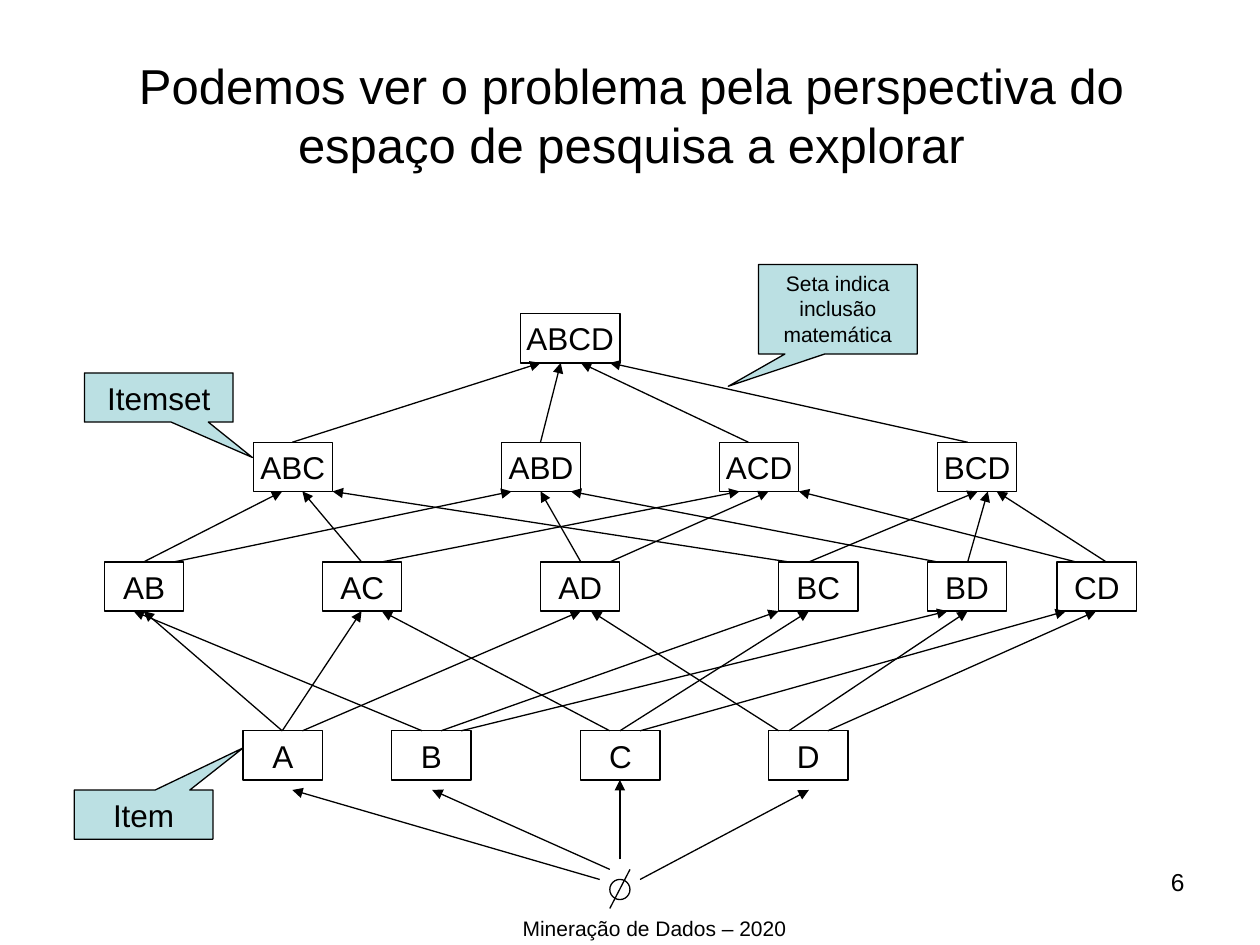
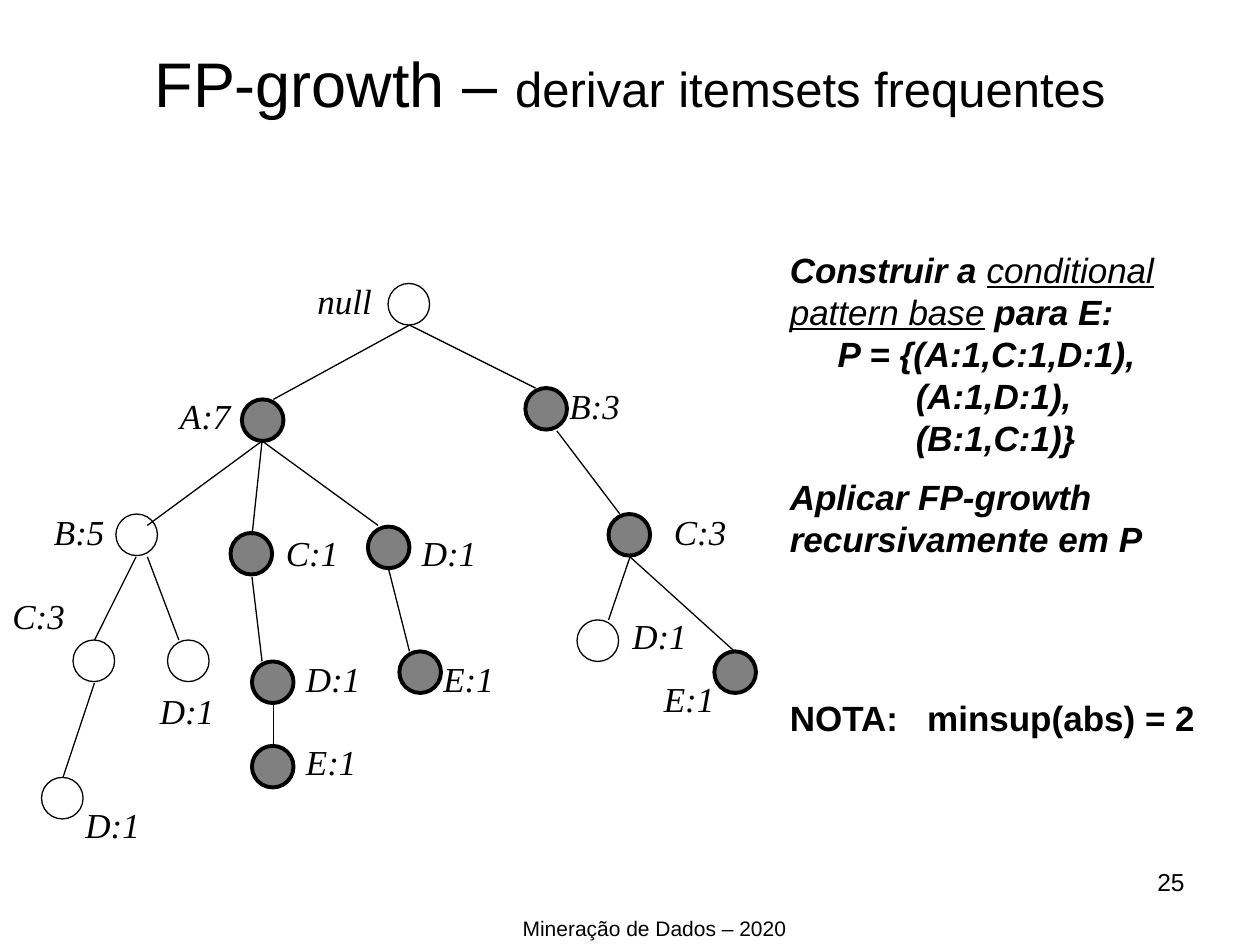
from lxml import etree
from pptx import Presentation
from pptx.dml.color import RGBColor
from pptx.enum.shapes import MSO_CONNECTOR, MSO_SHAPE
from pptx.enum.text import MSO_ANCHOR, MSO_AUTO_SIZE, PP_ALIGN
from pptx.oxml.ns import qn
from pptx.util import Inches, Pt

STRAIGHT = MSO_CONNECTOR.STRAIGHT
RECTANGLE, OVAL = MSO_SHAPE.RECTANGLE, MSO_SHAPE.OVAL
CALLOUT = MSO_SHAPE.RECTANGULAR_CALLOUT
MIDDLE, TOP = MSO_ANCHOR.MIDDLE, MSO_ANCHOR.TOP
LEFT, CENTER, RIGHT = PP_ALIGN.LEFT, PP_ALIGN.CENTER, PP_ALIGN.RIGHT
NO_AUTOFIT = MSO_AUTO_SIZE.NONE

BLACK, WHITE, AQUA, GRAY = "000000", "FFFFFF", "BBE0E3", "808080"
SANS, SERIF = "Arial", "Times New Roman"
THIN, THICK = 0.75, 2.25
FOOTER = "Mineração de Dados – 2020"
TITLE_ONLY = 5

LATTICE_TITLE = [("Podemos ver o problema pela perspectiva do espaço de pesquisa a explorar", 28)]
BOX_WIDTH, BOX_HEIGHT = 0.63, 0.39
FULL_SET_WIDTH = 0.79
LEVELS = [
    (2.49, {"ABCD": 4.13}),
    (3.51, {"ABC": 2.01, "ABD": 3.98, "ACD": 5.71, "BCD": 7.44}),
    (4.46, {"AB": 0.83, "AC": 2.56, "AD": 4.29, "BC": 6.18, "BD": 7.36, "CD": 8.39}),
    (5.8, {"A": 1.93, "B": 3.11, "C": 4.61, "D": 6.1}),
]
INCLUSIONS = [
    [(2.32, 4.29), (4.29, 4.45), (5.94, 4.61), (7.68, 4.84)],
    [(1.14, 2.24), (1.38, 4.06), (2.87, 2.4), (3.03, 5.87), (4.61, 4.29), (4.84, 6.1),
     (6.26, 2.64), (6.42, 7.76), (7.44, 4.53), (7.68, 7.84), (8.54, 6.34), (8.78, 7.91)],
    [(2.24, 1.14), (2.24, 2.87), (2.4, 4.61), (3.35, 1.06), (3.5, 6.18), (3.66, 7.52),
     (4.84, 3.03), (4.92, 6.42), (5.08, 8.46), (6.18, 4.69), (6.26, 7.68), (6.57, 8.7)],
]
EMPTY_SET_ARROWS = [
    (4.76, 6.98, 2.32, 6.27), (4.84, 6.9, 3.43, 6.27),
    (4.92, 6.82, 4.92, 6.19), (5.08, 6.98, 6.42, 6.27),
]
EMPTY_SET_RING = (4.84, 6.98, 0.16, 0.16)
EMPTY_SET_SLASH = (4.84, 7.21, 5, 6.9)
CALLOUTS = [
    ("Seta indica inclusão matemática", 12, (6.02, 2.1, 1.26, 0.71), (-0.69, 0.86)),
    ("Itemset", 18, (0.67, 2.96, 1.18, 0.39), (0.63, 1.22)),
    ("Item", 18, (0.59, 6.27, 1.1, 0.39), (0.72, -1.36)),
]

TREE_TITLE = [("FP-growth – ", 36), ("derivar itemsets frequentes", 28)]
NODE_SIZE = 0.33
LABEL_SIZE = (0.67, 0.43)
PLAIN_NODES = [
    ("null", (3.08, 2.25), (2.42, 2.17)),
    ("B:5", (0.92, 4.08), (0.33, 4)),
    ("C:3", (0.58, 5.08), (0, 4.67)),
    ("D:1", (0.33, 6.17), (0.58, 6.33)),
    ("D:1", (1.33, 5.08), (1.17, 5.42)),
    ("D:1", (4.58, 4.92), (4.92, 4.83)),
]
MARKED_NODES = [
    ("A:7", (1.92, 3.17), (1.33, 3.08)),
    ("B:3", (4.17, 3.08), (4.42, 3)),
    ("C:3", (4.83, 4.08), (5.25, 4)),
    ("C:1", (1.83, 4.23), (2.17, 4.17)),
    ("D:1", (2, 5.25), (2.33, 5.17)),
    ("E:1", (2, 5.92), (2.33, 5.83)),
    ("D:1", (2.92, 4.18), (3.25, 4.17)),
    ("E:1", (3.17, 5.17), (3.42, 5.17)),
    ("E:1", (5.67, 5.17), (5.17, 5.33)),
]
BRANCHES = [
    (3.25, 2.58, 2.17, 3.17), (3.25, 2.58, 4.25, 3.08),
    (2.08, 3.5, 1.17, 4.17), (2.08, 3.5, 2, 4.25), (2.08, 3.5, 3, 4.17),
    (1.08, 4.42, 0.75, 5.08), (1.17, 4.42, 1.42, 5.08), (0.75, 5.42, 0.5, 6.17),
    (2, 4.58, 2.08, 5.25), (2.17, 5.58, 2.17, 5.92), (3.08, 4.5, 3.25, 5.17),
    (4.42, 3.42, 4.92, 4.08), (5, 4.42, 4.83, 4.92), (5, 4.42, 5.83, 5.17),
]
STEPS_AREA = (6.17, 1.92, 3.67, 4.46)
STEPS = [
    {"spans": ["Construir a ", "conditional pattern base", " para E:"], "underlined": 1},
    {"spans": ["P = {(A:1,C:1,D:1),"], "indent": 0.38},
    {"spans": ["(A:1,D:1),"], "indent": 1},
    {"spans": ["(B:1,C:1)}"], "indent": 1},
    {"spans": ["Aplicar FP-growth recursivamente em P"], "before": 10},
    {"spans": ["NOTA:\tminsup(abs) = 2"], "before": 78, "italic": False, "tab": 1.09},
]


def color(value):
    return RGBColor.from_string(value)


def place(area):
    return [Inches(length) for length in area]


def style(paragraph, size, name=SANS, align=LEFT, italic=None):
    paragraph.alignment = align
    font = paragraph.font
    font.name, font.size, font.italic = name, Pt(size), italic
    font.color.rgb = color(BLACK)


def add_text(page, text, area, size, **styling):
    frame = page.shapes.add_textbox(*place(area)).text_frame
    frame.word_wrap = True
    frame.text = text
    style(frame.paragraphs[0], size, **styling)


def add_box(page, kind, area, fill=None, line_width=THIN):
    box = page.shapes.add_shape(kind, *place(area))
    box.shadow.inherit = False
    if fill:
        box.fill.solid()
        box.fill.fore_color.rgb = color(fill)
    else:
        box.fill.background()
    box.line.color.rgb = color(BLACK)
    box.line.width = Pt(line_width)
    return box


def write_in(box, text, size, anchor, wrap):
    frame = box.text_frame
    frame.text = text
    frame.vertical_anchor, frame.word_wrap = anchor, wrap
    style(frame.paragraphs[0], size, align=CENTER)


def add_line(page, ends, arrow=False):
    line = page.shapes.add_connector(STRAIGHT, *place(ends))
    line.line.color.rgb = color(BLACK)
    line.line.width = Pt(THIN)
    properties = line._element.spPr
    if arrow:
        etree.SubElement(properties.find(qn("a:ln")), qn("a:tailEnd"), type="triangle")
    etree.SubElement(properties, qn("a:effectLst"))


def add_page(deck, title_spans, title_area, number):
    page = deck.slides.add_slide(deck.slide_layouts[TITLE_ONLY])
    title = page.shapes.title
    title.left, title.top, title.width, title.height = place(title_area)
    frame = title.text_frame
    frame.auto_size, frame.vertical_anchor = NO_AUTOFIT, MIDDLE
    paragraph = frame.paragraphs[0]
    style(paragraph, title_spans[0][1], align=CENTER)
    for text, size in title_spans:
        span = paragraph.add_run()
        span.text = text
        span.font.size = Pt(size)
    add_text(page, str(number), (7.17, 6.83, 2.33, 0.52), 14, align=RIGHT)
    add_text(page, FOOTER, (2.4, 7.22, 5.59, 0.23), 12, align=CENTER)
    return page


def build_lattice(deck):
    page = add_page(deck, LATTICE_TITLE, (0.51, 0.28, 9, 1.25), 6)
    for top, itemsets in LEVELS:
        for name, left in itemsets.items():
            width = FULL_SET_WIDTH if len(name) == 4 else BOX_WIDTH
            box = add_box(page, RECTANGLE, (left, top, width, BOX_HEIGHT), WHITE)
            write_in(box, name, 18, MIDDLE, False)
    for (upper, _), (lower, _), arrows in zip(LEVELS, LEVELS[1:], INCLUSIONS):
        for start, end in arrows:
            add_line(page, (start, lower, end, upper + BOX_HEIGHT), arrow=True)
    for ends in EMPTY_SET_ARROWS:
        add_line(page, ends, arrow=True)
    add_box(page, OVAL, EMPTY_SET_RING, WHITE)
    add_line(page, EMPTY_SET_SLASH)
    for text, size, area, tip in CALLOUTS:
        callout = add_box(page, CALLOUT, area, AQUA)
        callout.adjustments[0], callout.adjustments[1] = tip
        write_in(callout, text, size, TOP, True)


def add_steps(page):
    frame = page.shapes.add_textbox(*place(STEPS_AREA)).text_frame
    frame.word_wrap = True
    for index, step in enumerate(STEPS):
        paragraph = frame.add_paragraph() if index else frame.paragraphs[0]
        style(paragraph, 20, italic=step.get("italic", True))
        paragraph.font.bold = True
        paragraph.space_before = Pt(step.get("before", 0))
        properties = paragraph._p.get_or_add_pPr()
        properties.set("marL", str(Inches(step.get("indent", 0))))
        if "tab" in step:
            stops = etree.Element(qn("a:tabLst"))
            etree.SubElement(stops, qn("a:tab"), pos=str(Inches(step["tab"])), algn="l")
            properties.find(qn("a:defRPr")).addprevious(stops)
        for position, text in enumerate(step["spans"]):
            span = paragraph.add_run()
            span.text = text
            if position == step.get("underlined"):
                span.font.bold, span.font.underline = False, True


def build_tree(deck):
    page = add_page(deck, TREE_TITLE, (0.5, 0.3, 9, 0.7), 25)
    for nodes, fill, line_width in ((PLAIN_NODES, None, THIN), (MARKED_NODES, GRAY, THICK)):
        for label, corner, label_corner in nodes:
            add_box(page, OVAL, (*corner, NODE_SIZE, NODE_SIZE), fill, line_width)
            add_text(page, label, (*label_corner, *LABEL_SIZE), 20, name=SERIF, italic=True)
    for ends in BRANCHES:
        add_line(page, ends)
    add_steps(page)


def main():
    deck = Presentation()
    deck.slide_width, deck.slide_height = Inches(10), Inches(7.5)
    build_lattice(deck)
    build_tree(deck)
    deck.save("out.pptx")


if __name__ == "__main__":
    main()
